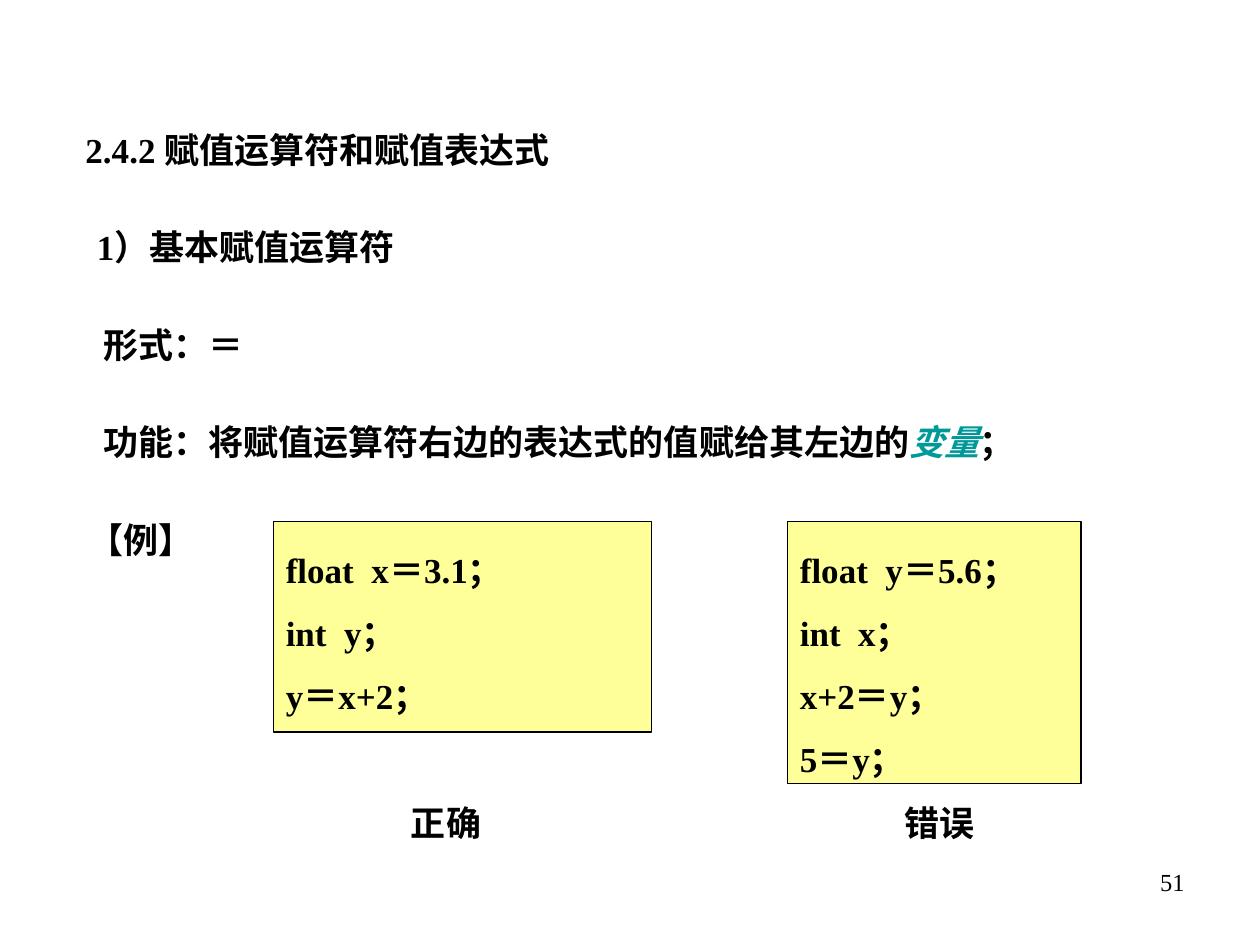
import pptx
import pptx.util
import pptx.dml.color
import pptx.enum.shapes
import pptx.enum.text
from dataclasses import dataclass

Inches = pptx.util.Inches
Pt = pptx.util.Pt
RGB = pptx.dml.color.RGBColor
Align = pptx.enum.text.PP_ALIGN


@dataclass(frozen=True)
class Theme:
    font: str = "Times New Roman"
    ink: RGB = RGB(0, 0, 0)
    teal: RGB = RGB(0x00, 0x99, 0x99)
    cream: RGB = RGB(0xFF, 0xFF, 0x99)
    body: Pt = Pt(20)
    small: Pt = Pt(14)


theme = Theme()


def style(para, size=theme.body, bold=True, align=Align.LEFT):
    para.alignment = align
    para.font.name = theme.font
    para.font.size = size
    para.font.bold = bold
    para.font.color.rgb = theme.ink


def label(text, left, top, width, height, **look):
    box = slide.shapes.add_textbox(Inches(left), Inches(top), Inches(width), Inches(height))
    frame = box.text_frame
    frame.word_wrap = True
    frame.text = text
    for para in frame.paragraphs:
        style(para, **look)
    return frame


deck = pptx.Presentation()
deck.slide_width = Inches(10)
deck.slide_height = Inches(7.5)
slide = deck.slides.add_slide(deck.slide_layouts[6])

label("51", 7.17, 6.83, 2.33, 0.52, size=theme.small, bold=False, align=Align.RIGHT)

lines = [
    ("2.4.2 赋值运算符和赋值表达式", 0.17),
    ("1）基本赋值运算符", 0.26),
    ("形式：＝", 0.31),
    ("功能：将赋值运算符右边的表达式的值赋给其左边的", 0.31),
    ("【例】", 0.19),
]
notes = label("\n".join(text for text, indent in lines), 0.41, 0.6, 8.92, 3.92)
notes.margin_top = Inches(0.15)
for row, (para, (text, indent)) in enumerate(zip(notes.paragraphs, lines)):
    props = para._p.get_or_add_pPr()
    props.set("marL", str(Inches(indent)))
    props.set("indent", "0")
    para.line_spacing = 1.8
    if row:
        para.space_before = Pt(12.5)

rule = notes.paragraphs[3]
term = rule.add_run()
term.text = "变量"
term.font.italic = True
term.font.color.rgb = theme.teal
rule.add_run().text = "；"

cases = [
    ("float  x＝3.1；\nint  y；\ny＝x+2；", 2.17, 3, 1.67, "正确", 3),
    ("float  y＝5.6；\nint  x；\nx+2＝y；\n5＝y；", 6.25, 2.33, 2.08, "错误", 6.92),
]
for code, left, width, height, verdict, spot in cases:
    card = slide.shapes.add_shape(
        pptx.enum.shapes.MSO_SHAPE.RECTANGLE,
        Inches(left), Inches(4.14), Inches(width), Inches(height))
    card.shadow.inherit = False
    card.fill.solid()
    card.fill.fore_color.rgb = theme.cream
    card.line.color.rgb = theme.ink
    card.line.width = Pt(0.75)
    frame = card.text_frame
    frame.word_wrap = True
    frame.vertical_anchor = pptx.enum.text.MSO_ANCHOR.TOP
    frame.text = code
    for para in frame.paragraphs:
        style(para)
        para.line_spacing = 1.5
    label(verdict, spot, 6.31, 1.08, 0.44, align=Align.CENTER)

deck.save("out.pptx")
